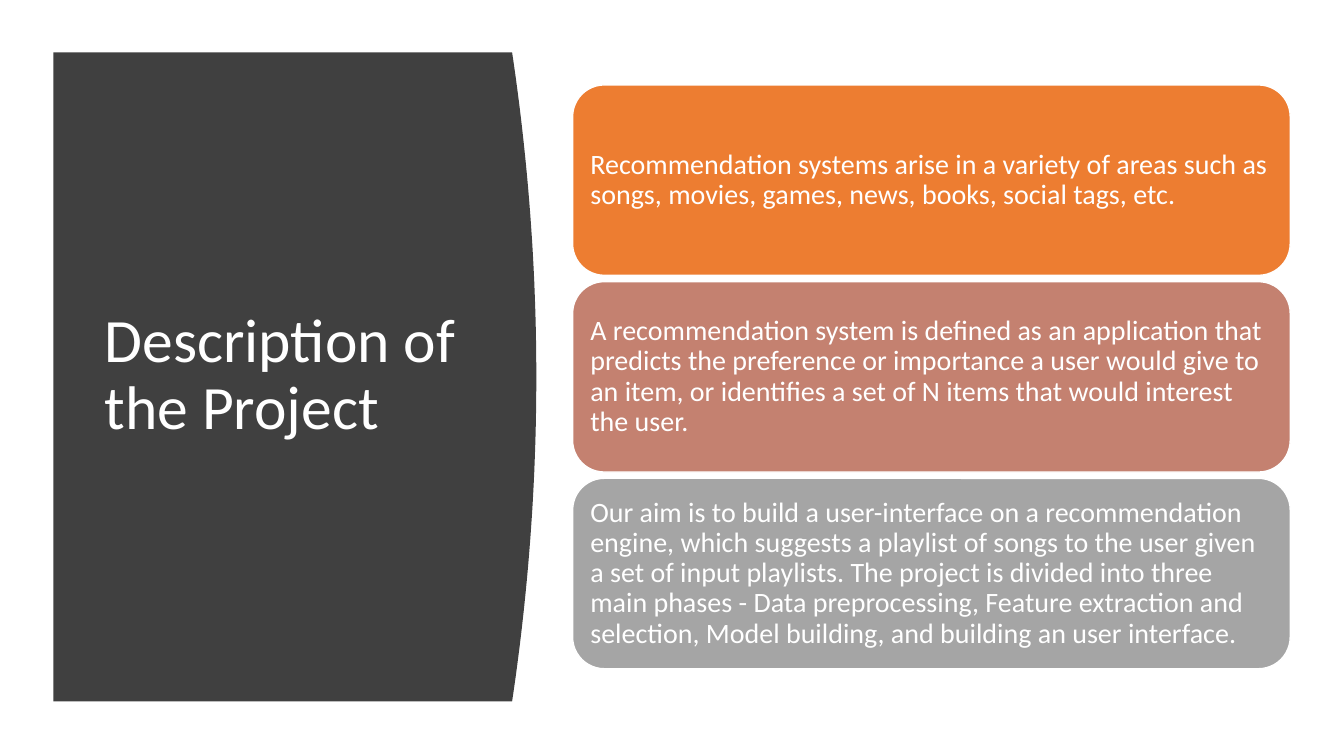
import pptx
import pptx.util
import pptx.dml.color
import pptx.enum.shapes
import pptx.enum.text

Pt = pptx.util.Pt
RGB = pptx.dml.color.RGBColor.from_string
COLORS = {
    "panel": "404040",
    "text": "FFFFFF",
    "edge": "FFFFFF",
    "orange": "ED7D31",
    "rose": "C48170",
    "gray": "A5A5A5",
}


def write(shape, text, size, inset=(7.2, 3.6), after=0):
    frame = shape.text_frame
    frame.word_wrap = True
    frame.vertical_anchor = pptx.enum.text.MSO_ANCHOR.MIDDLE
    frame.margin_left = frame.margin_right = Pt(inset[0])
    frame.margin_top = frame.margin_bottom = Pt(inset[1])
    para = frame.paragraphs[0]
    para.alignment = pptx.enum.text.PP_ALIGN.LEFT
    para.line_spacing = 0.9
    para.space_after = Pt(after)
    run = para.add_run()
    run.text = text
    run.font.name = "Calibri"
    run.font.size = Pt(size)
    run.font.color.rgb = RGB(COLORS["text"])


deck = pptx.Presentation()
deck.slide_width = Pt(960)
deck.slide_height = Pt(540)
slide = deck.slides.add_slide(deck.slide_layouts[6])
shapes = slide.shapes

# Dark panel whose right edge bulges as a parabola
left, top, height = 38.2, 37.4, 463.7
side, bulge, steps = 365.8, 17.3, 48
curve = []
for i in range(steps + 1):
    t = i / steps
    x = side + bulge * 4 * t * (1 - t)
    curve.append((Pt(x), Pt(top + height * t)))
path = shapes.build_freeform(Pt(left), Pt(top), scale=1.0)
path.add_line_segments(curve + [(Pt(left), Pt(top + height))], close=True)
panel = path.convert_to_shape()
panel.shadow.inherit = False
panel.fill.solid()
panel.fill.fore_color.rgb = RGB(COLORS["panel"])
panel.line.fill.background()

title = shapes.add_textbox(Pt(67.7), Pt(79.9), Pt(269.3), Pt(377.3))
write(title, "Description of the Project", 44)

# Stack of three cards
cards = [
    ("orange", "Recommendation systems arise in a variety of areas such as songs, "
     "movies, games, news, books, social tags, etc."),
    ("rose", "A recommendation system is defined as an application that predicts "
     "the preference or importance a user would give to an item, or identifies "
     "a set of N items that would interest the user."),
    ("gray", "Our aim is to build a user-interface on a recommendation engine, "
     "which suggests a playlist of songs to the user given a set of input "
     "playlists. The project is divided into three main phases - Data "
     "preprocessing, Feature extraction and selection, Model building, and "
     "building an user interface."),
]
for i, (color, text) in enumerate(cards):
    card = shapes.add_shape(
        pptx.enum.shapes.MSO_SHAPE.ROUNDED_RECTANGLE,
        Pt(409), Pt(60.7 + 140.5 * i), Pt(512.6), Pt(136))
    card.shadow.inherit = False
    card.fill.solid()
    card.fill.fore_color.rgb = RGB(COLORS[color])
    card.line.color.rgb = RGB(COLORS["edge"])
    card.line.width = Pt(1)
    write(card, text, 20, inset=(6, 6), after=7)

deck.save("out.pptx")
